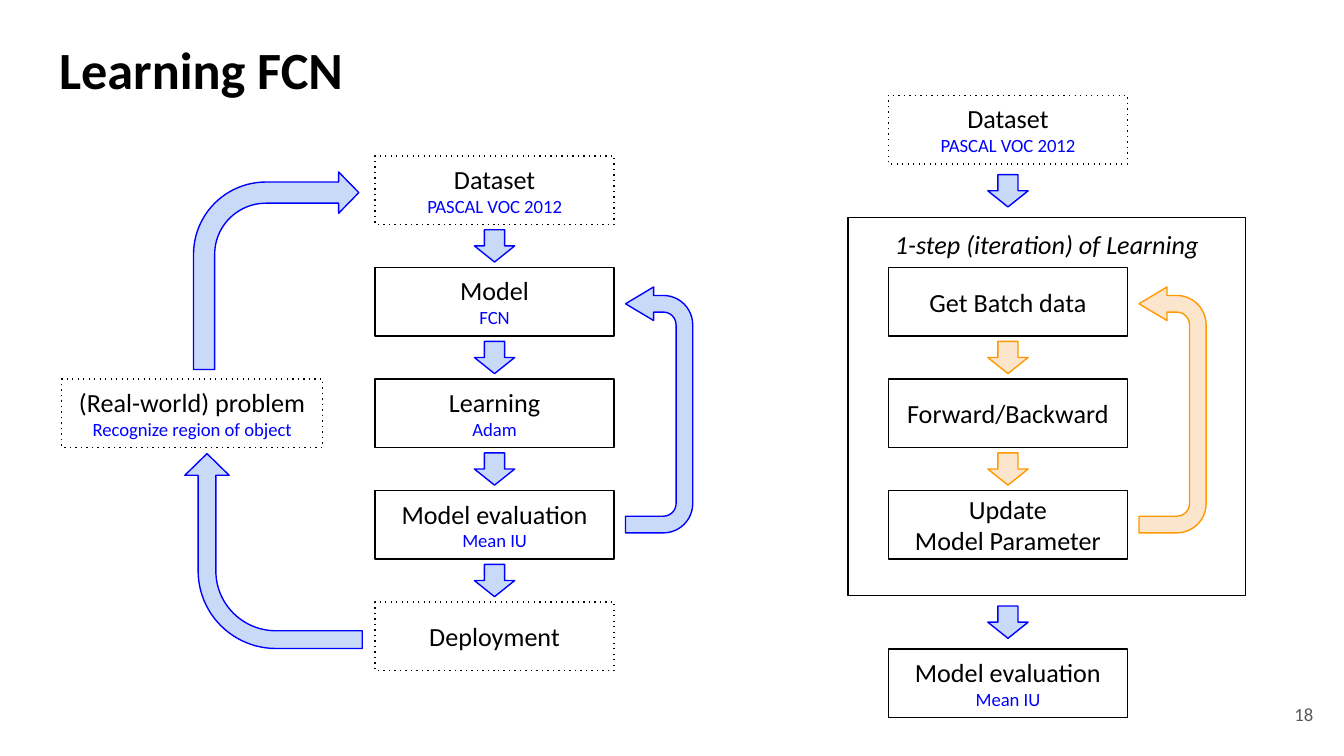
from dataclasses import dataclass

from pptx import Presentation
from pptx.dml.color import RGBColor
from pptx.enum.dml import MSO_LINE
from pptx.enum.shapes import MSO_SHAPE as Shape
from pptx.enum.text import MSO_ANCHOR as Anchor, MSO_AUTO_SIZE as AutoSize, PP_ALIGN as Align
from pptx.util import Inches, Pt

COLORS = {
    "black": "000000",
    "gray": "595959",
    "blue": "0000FF",
    "pale_blue": "C9DAF8",
    "orange": "FF9900",
    "pale_orange": "FCE5CD",
}
FONT = "Calibri"
PAGE_WIDTH = 10
PAGE_HEIGHT = PAGE_WIDTH * 9 / 16
STEP_WIDTH, STEP_HEIGHT, STEP_GAP = 1.78, 0.51, 0.83
LEFT_COLUMN, RIGHT_COLUMN = 2.79, 6.61
FIRST_ROW = 1.16
ROWS = [FIRST_ROW + STEP_GAP * index for index in range(5)]
ARROW_WIDTH, ARROW_HEIGHT, ARROW_DROP = 0.3, 0.24, 0.55
U_TURN = (0.248, 0.25, 0.418, 0.438, 1)


@dataclass
class Line:
    text: str
    size: float = 14
    color: str = "black"
    bold: bool = False
    italic: bool = False


@dataclass
class Step:
    left: float
    top: float
    lines: list[Line]
    dotted: bool = False
    width: float = STEP_WIDTH
    height: float = STEP_HEIGHT


@dataclass
class Arrow:
    kind: Shape
    left: float
    top: float
    width: float
    height: float
    adjustments: tuple[float, ...] = (0.5, 0.5)
    rotation: float = 0
    flipped: bool = False
    tone: str = "blue"


def rgb(name: str) -> RGBColor:
    return RGBColor.from_string(COLORS[name])


def write(shape, lines: list[Line], align: Align, anchor: Anchor) -> None:
    frame = shape.text_frame
    frame.word_wrap = True
    frame.auto_size = AutoSize.NONE
    frame.vertical_anchor = anchor
    frame.margin_left = frame.margin_right = Inches(0.1)
    frame.margin_top = frame.margin_bottom = Inches(0.1)
    for index, line in enumerate(lines):
        para = frame.add_paragraph() if index else frame.paragraphs[0]
        para.alignment = align
        span = para.add_run()
        span.text = line.text
        font = span.font
        font.name, font.size = FONT, Pt(line.size)
        font.bold, font.italic = line.bold, line.italic
        font.color.rgb = rgb(line.color)


def draw_step(page, step: Step) -> None:
    box = page.shapes.add_shape(
        Shape.RECTANGLE, Inches(step.left), Inches(step.top), Inches(step.width), Inches(step.height)
    )
    box.shadow.inherit = False
    box.fill.background()
    box.line.color.rgb = rgb("black")
    box.line.width = Pt(0.75)
    if step.dotted:
        box.line.dash_style = MSO_LINE.ROUND_DOT
        for dash in box.element.xpath(".//a:prstDash"):
            dash.set("val", "dot")
    if step.lines:
        write(box, step.lines, Align.CENTER, Anchor.MIDDLE)


def draw_arrow(page, arrow: Arrow) -> None:
    shape = page.shapes.add_shape(
        arrow.kind, Inches(arrow.left), Inches(arrow.top), Inches(arrow.width), Inches(arrow.height)
    )
    shape.shadow.inherit = False
    shape.fill.solid()
    shape.fill.fore_color.rgb = rgb("pale_" + arrow.tone)
    shape.line.color.rgb = rgb(arrow.tone)
    shape.line.width = Pt(0.75)
    shape.rotation = arrow.rotation
    if arrow.flipped:
        shape.element.spPr.xfrm.set("flipH", "1")
    for index, value in enumerate(arrow.adjustments):
        shape.adjustments[index] = value


def draw_label(page, left: float, top: float, width: float, line: Line, align: Align, anchor: Anchor) -> None:
    label = page.shapes.add_textbox(Inches(left), Inches(top), Inches(width), Inches(0.43))
    write(label, [line], align, anchor)


def down_arrow(column: float, top: float, tone: str = "blue") -> Arrow:
    left = column + (STEP_WIDTH - ARROW_WIDTH) / 2
    return Arrow(Shape.DOWN_ARROW, left, top, ARROW_WIDTH, ARROW_HEIGHT, tone=tone)


def return_arrow(left: float, tone: str) -> Arrow:
    return Arrow(Shape.U_TURN_ARROW, left, 2.8, 1.83, 0.5, U_TURN, 90, True, tone)


def titled(title: str, detail: str) -> list[Line]:
    return [Line(title), Line(detail, 10, "blue")]


def main() -> None:
    deck = Presentation()
    deck.slide_width, deck.slide_height = Inches(PAGE_WIDTH), Inches(PAGE_HEIGHT)
    page = deck.slides.add_slide(deck.slide_layouts[5])

    title = page.shapes.title
    title.left, title.top = Inches(0.34), Inches(0.18)
    title.width, title.height = Inches(9.32), Inches(0.63)
    write(title, [Line("Learning FCN", 28, bold=True)], Align.LEFT, Anchor.TOP)

    dataset = titled("Dataset", "PASCAL VOC 2012")
    evaluation = titled("Model evaluation", "Mean IU")
    problem = titled("(Real-world) problem", "Recognize region of object")
    cycle = [dataset, titled("Model", "FCN"), titled("Learning", "Adam"), evaluation, [Line("Deployment")]]
    iteration = [
        [Line("Get Batch data")],
        [Line("Forward/Backward")],
        [Line("Update"), Line("Model Parameter")],
    ]

    steps = [Step(6.31, 1.62, [], width=2.96, height=2.81)]
    steps += [
        Step(LEFT_COLUMN, top, lines, dotted=top in (ROWS[0], ROWS[-1])) for top, lines in zip(ROWS, cycle)
    ]
    steps += [Step(RIGHT_COLUMN, top, lines) for top, lines in zip(ROWS[1:], iteration)]
    steps += [
        Step(0.46, ROWS[2], problem, dotted=True, width=1.94),
        Step(RIGHT_COLUMN, 0.71, dataset, dotted=True),
        Step(RIGHT_COLUMN, 4.83, evaluation),
    ]
    for step in steps:
        draw_step(page, step)

    arrows = [down_arrow(LEFT_COLUMN, top + ARROW_DROP) for top in ROWS[:-1]]
    arrows += [down_arrow(RIGHT_COLUMN, top + ARROW_DROP, "orange") for top in ROWS[1:3]]
    arrows += [down_arrow(RIGHT_COLUMN, top) for top in (1.3, 4.51)]
    arrows += [
        return_arrow(3.99, "blue"),
        return_arrow(7.81, "orange"),
        Arrow(Shape.BENT_ARROW, 1.44, 1.28, 1.23, 1.47, (0.128, 0.125, 0.122, 0.438)),
        Arrow(Shape.BENT_ARROW, 1.31, 3.44, 1.45, 1.32, (0.1, 0.125, 0.122, 0.438), 270),
    ]
    for arrow in arrows:
        draw_arrow(page, arrow)

    caption = Line("1-step (iteration) of Learning", italic=True)
    draw_label(page, 6.31, 1.6, 2.96, caption, Align.CENTER, Anchor.TOP)
    draw_label(page, 9.27, 5.1, 0.6, Line("18", 10, "gray"), Align.RIGHT, Anchor.MIDDLE)

    deck.save("out.pptx")


if __name__ == "__main__":
    main()
